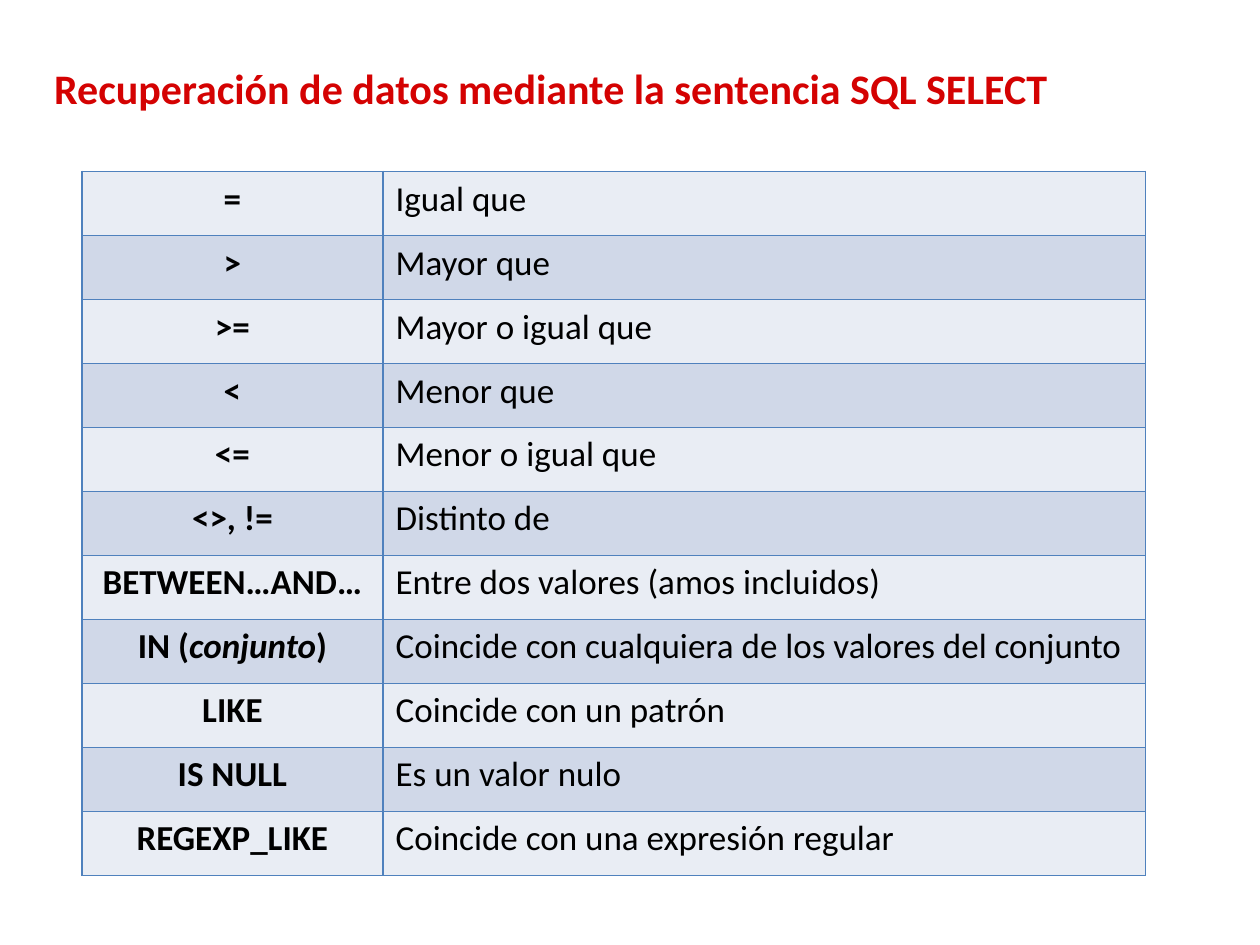
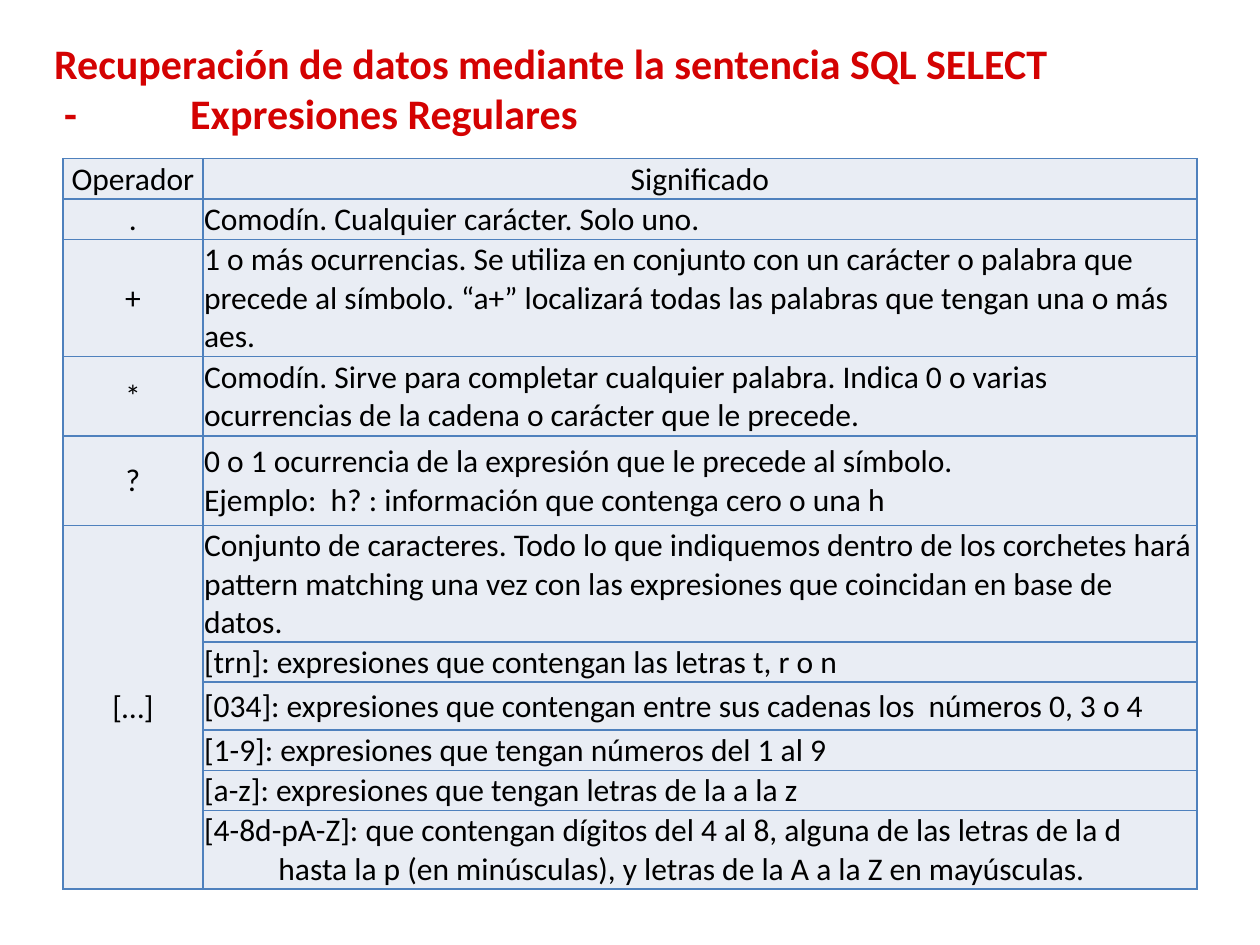
from pptx import Presentation
from pptx.dml.color import RGBColor
from pptx.enum.text import MSO_ANCHOR, MSO_AUTO_SIZE, PP_ALIGN
from pptx.oxml import parse_xml
from pptx.oxml.ns import nsdecls
from pptx.util import Inches, Pt

RED = RGBColor(0xD4, 0x02, 0x02)
BLACK = RGBColor(0, 0, 0)
LIGHT = RGBColor(0xE9, 0xED, 0xF4)
DARK = RGBColor(0xD0, 0xD8, 0xE8)
EDGE = RGBColor(0x4F, 0x81, 0xBD)
FONT = "Calibri"
HEAD = "Recuperación de datos mediante la sentencia SQL SELECT"


def add_run(para, text, size, color=BLACK, bold=False, italic=False):
    run = para.add_run()
    run.text = text
    font = run.font
    font.name, font.size = FONT, Pt(size)
    font.bold, font.italic = bold, italic
    font.color.rgb = color


def add_page(lines, box, cols, rows):
    """Add a slide with its title and an empty, bordered table."""
    slide = prs.slides.add_slide(prs.slide_layouts[5])
    title = slide.shapes.title
    title.left, title.top = Inches(0.33), Inches(0.19)
    title.width, title.height = Inches(8.76), Inches(1.01)
    frame = title.text_frame
    frame.word_wrap = True
    frame.auto_size = MSO_AUTO_SIZE.NONE
    frame.vertical_anchor = MSO_ANCHOR.MIDDLE
    for i, line in enumerate(lines):
        para = frame.add_paragraph() if i else frame.paragraphs[0]
        para.alignment = PP_ALIGN.LEFT
        para.space_before = Pt(0)
        add_run(para, line, 24, RED, bold=True)

    left, top = box
    table = slide.shapes.add_table(
        len(rows), len(cols), Inches(left), Inches(top),
        Inches(sum(cols)), Inches(sum(rows))).table
    table.first_row = table.horz_banding = False
    for col, width in zip(table.columns, cols):
        col.width = Inches(width)
    for row, height in zip(table.rows, rows):
        row.height = Inches(height)
    for cell in table.iter_cells():
        props = cell._tc.get_or_add_tcPr()
        for side in ("lnL", "lnR", "lnT", "lnB"):
            props.append(parse_xml(
                f'<a:{side} {nsdecls("a")} w="{Pt(1)}"><a:solidFill>'
                f'<a:srgbClr val="{EDGE}"/></a:solidFill></a:{side}>'))
        cell.fill.solid()
        cell.fill.fore_color.rgb = LIGHT
    return frame, table


prs = Presentation()
prs.slide_width, prs.slide_height = Inches(10), Inches(7.5)

# Comparison operators; the middle part of a split name is italic
signs = [
    (["="], "Igual que"),
    ([">"], "Mayor que"),
    ([">="], "Mayor o igual que"),
    (["<"], "Menor que"),
    (["<="], "Menor o igual que"),
    (["<>, !="], "Distinto de"),
    (["BETWEEN…AND…"], "Entre dos valores (amos incluidos)"),
    (["IN (", "conjunto", ")"],
     "Coincide con cualquiera de los valores del conjunto"),
    (["LIKE"], "Coincide con un patrón"),
    (["IS NULL"], "Es un valor nulo"),
    (["REGEXP_LIKE"], "Coincide con una expresión regular"),
]
frame, table = add_page([HEAD], (0.65, 1.36), [2.39, 6.05],
                        [5.59 / len(signs)] * len(signs))
for r, (parts, sense) in enumerate(signs):
    sign, note = table.cell(r, 0), table.cell(r, 1)
    para = sign.text_frame.paragraphs[0]
    para.alignment = PP_ALIGN.CENTER
    for i, part in enumerate(parts):
        add_run(para, part, 20, bold=True, italic=i == 1)
    add_run(note.text_frame.paragraphs[0], sense, 20)
    if r % 2:
        for cell in (sign, note):
            cell.fill.fore_color.rgb = DARK

# Regular expressions: row height, operator, lines of meaning
terms = [
    (0.32, "Operador", ["Significado"]),
    (0.32, ".", ["Comodín. Cualquier carácter. Solo uno."]),
    (0.93, "+", ["1 o más ocurrencias. Se utiliza en conjunto con un carácter "
                 "o palabra que precede al símbolo. “a+” localizará todas las "
                 "palabras que tengan una o más aes."]),
    (0.63, "*", ["Comodín. Sirve para completar cualquier palabra. Indica 0 o "
                 "varias ocurrencias de la cadena o carácter que le precede."]),
    (0.71, "?", ["0 o 1 ocurrencia de la expresión que le precede al símbolo.",
                 "Ejemplo:  h? : información que contenga cero o una h"]),
    (0.92, "[…]", ["Conjunto de caracteres. Todo lo que indiquemos dentro de "
                   "los corchetes hará pattern matching una vez con las "
                   "expresiones que coincidan en base de datos."]),
    (0.32, "", ["[trn]: expresiones que contengan las letras t, r o n"]),
    (0.38, "", ["[034]: expresiones que contengan entre sus cadenas los "
                " números 0, 3 o 4"]),
    (0.32, "", ["[1-9]: expresiones que tengan números del 1 al 9"]),
    (0.32, "", ["[a-z]: expresiones que tengan letras de la a la z"]),
    (0.62, "", ["[4-8d-pA-Z]: que contengan dígitos del 4 al 8, alguna de las "
                "letras de la d hasta la p (en minúsculas), y letras de la A "
                "a la Z en mayúsculas."]),
]
frame, table = add_page([HEAD, "-\tExpresiones Regulares"], (0.5, 1.26),
                        [1.11, 7.89], [term[0] for term in terms])
for r, (height, sign, lines) in enumerate(terms):
    for c, texts in enumerate(([sign], lines)):
        cell = table.cell(r, c)
        cell.vertical_anchor = MSO_ANCHOR.MIDDLE
        cell.margin_left = cell.margin_right = cell.margin_top = Inches(0.01)
        cell.margin_bottom = 0
        for i, text in enumerate(texts):
            body = cell.text_frame
            para = body.add_paragraph() if i else body.paragraphs[0]
            centred = c == 0 or r == 0
            para.alignment = PP_ALIGN.CENTER if centred else PP_ALIGN.LEFT
            if text:
                add_run(para, text, 18)
table.cell(5, 0).merge(table.cell(len(terms) - 1, 0))

# Hanging indents: the subtitle and the last meaning
last = table.cell(len(terms) - 1, 1).text_frame.paragraphs[0]
for para, margin, hang in ((frame.paragraphs[1], 1.08, 1), (last, 0.59, 0.59)):
    props = para._p.get_or_add_pPr()
    props.set("marL", str(Inches(margin)))
    props.set("indent", str(-Inches(hang)))

prs.save("out.pptx")
